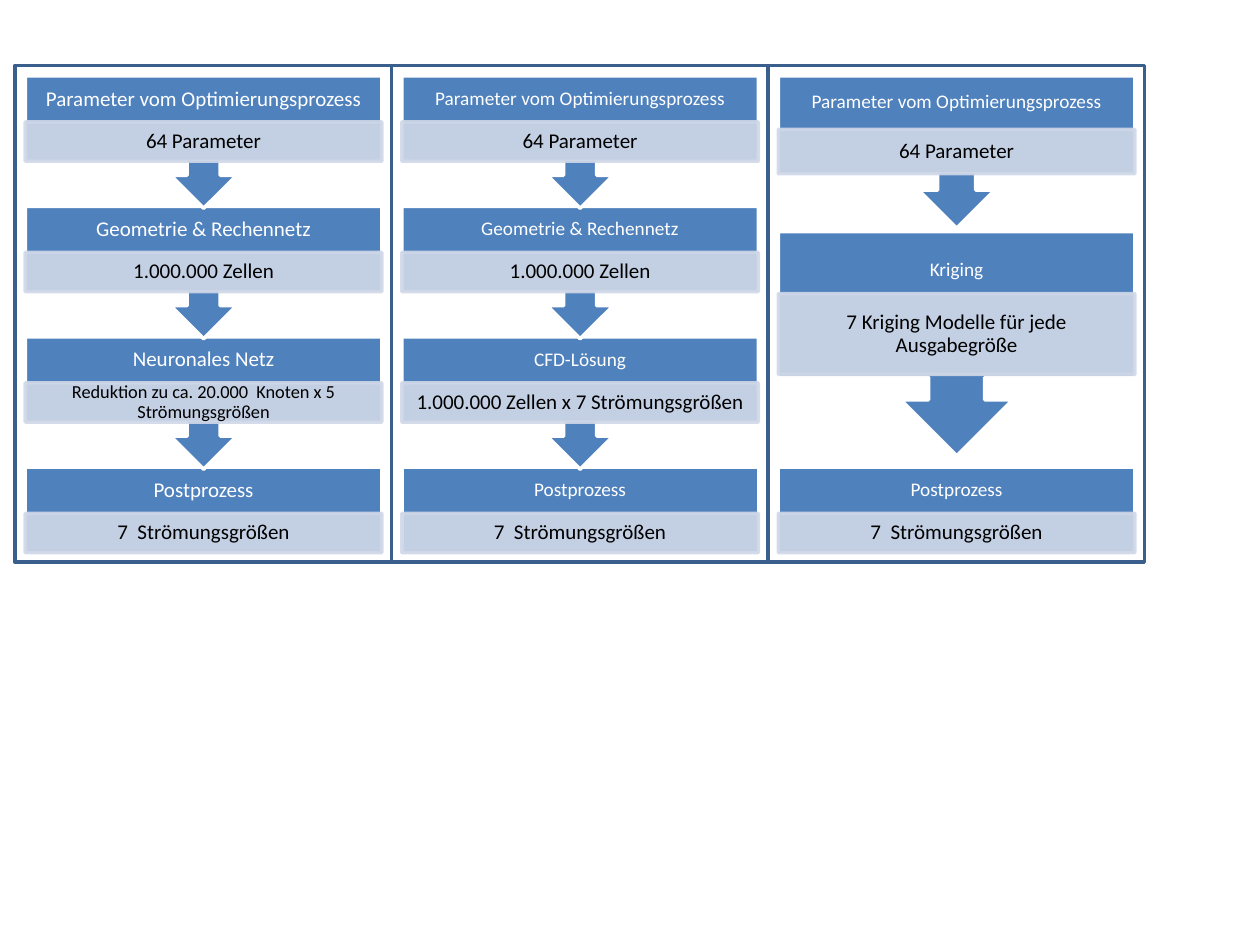
from dataclasses import dataclass

from lxml.etree import SubElement
from pptx import Presentation
from pptx.dml.color import RGBColor
from pptx.enum.shapes import MSO_SHAPE
from pptx.enum.text import MSO_ANCHOR, PP_ALIGN
from pptx.oxml.ns import qn
from pptx.shapes.autoshape import Shape
from pptx.shapes.shapetree import GroupShapes
from pptx.util import Cm, Pt

PANEL_LEFT, PANEL_TOP = 0.3, 1.32
PANEL_WIDTH, PANEL_HEIGHT = 7.59, 10.01
STEP_INSET, STEP_WIDTH = 0.21, 7.19
FIRST_TOP, STEP_PITCH = 1.53, 2.63
WHITE, BLACK = "FFFFFF", "000000"
BLUE, DARK_BLUE, PALE_BLUE = "4F81BD", "3A5F8C", "D0D8E8"


@dataclass
class Layout:
    top: float
    height: float
    header_height: float
    band_offset: float
    band_height: float


@dataclass
class Step:
    title: str
    detail: str
    layout: Layout
    detail_size: float = 12


@dataclass
class Flow:
    title_size: float
    steps: list[Step]


def color(value: str) -> RGBColor:
    return RGBColor.from_string(value)


def add_box(shapes: GroupShapes, kind: MSO_SHAPE, left: float, top: float, width: float,
            height: float, fill: str, line: str) -> Shape:
    shape = shapes.add_shape(kind, Cm(left), Cm(top), Cm(width), Cm(height))
    shape.shadow.inherit = False
    shape.fill.solid()
    shape.fill.fore_color.rgb = color(fill)
    shape.line.color.rgb = color(line)
    shape.line.width = Pt(2)
    return shape


def set_opacity(shape: Shape, percent: int) -> None:
    for value in shape._element.spPr.iter(qn("a:srgbClr")):
        SubElement(value, qn("a:alpha")).set("val", str(percent * 1000))


def set_text(shape: Shape, text: str, size: float, text_color: str, margin: float) -> None:
    frame = shape.text_frame
    frame.word_wrap = True
    frame.vertical_anchor = MSO_ANCHOR.MIDDLE
    frame.margin_left = frame.margin_right = Cm(0.23)
    frame.margin_top = frame.margin_bottom = Cm(margin)
    paragraph = frame.paragraphs[0]
    paragraph.text = text
    paragraph.alignment = PP_ALIGN.CENTER
    paragraph.line_spacing = 0.9
    paragraph.font.name = "Calibri"
    paragraph.font.size = Pt(size)
    paragraph.font.color.rgb = color(text_color)


def add_step(shapes: GroupShapes, left: float, step: Step, title_size: float,
             is_last: bool) -> None:
    layout = step.layout
    kind = MSO_SHAPE.RECTANGLE if is_last else MSO_SHAPE.UP_ARROW_CALLOUT
    body = add_box(shapes, kind, left, layout.top, STEP_WIDTH, layout.height, BLUE, WHITE)
    body.rotation = 0 if is_last else 180
    header = shapes.add_textbox(Cm(left), Cm(layout.top), Cm(STEP_WIDTH),
                                Cm(layout.header_height))
    set_text(header, step.title, title_size, WHITE, 0.23)
    band = add_box(shapes, MSO_SHAPE.RECTANGLE, left, layout.top + layout.band_offset,
                   STEP_WIDTH, layout.band_height, PALE_BLUE, PALE_BLUE)
    set_opacity(band, 90)
    set_text(band, step.detail, step.detail_size, BLACK, 0.05)


FIRST, SECOND, THIRD = (
    Layout(FIRST_TOP + index * STEP_PITCH, 2.67, 0.94, 0.93, 0.79) for index in range(3))
LAST = Layout(FIRST_TOP + 3 * STEP_PITCH, 1.73, 0.94, 0.93, 0.79)
TALL_FIRST = Layout(FIRST_TOP, 3.07, 1.07, 1.08, 0.89)
TALL_SECOND = Layout(4.67, 4.52, 1.57, 1.25, 1.63)

PARAMETERS = ("Parameter vom Optimierungsprozess", "64 Parameter")
GEOMETRY = Step("Geometrie & Rechennetz", "1.000.000 Zellen", SECOND)
RESULT = Step("Postprozess", "7  Strömungsgrößen", LAST)

FLOWS = [
    Flow(12, [
        Step(*PARAMETERS, FIRST),
        GEOMETRY,
        Step("Neuronales Netz", "Reduktion zu ca. 20.000  Knoten x 5 Strömungsgrößen",
             THIRD, 10.5),
        RESULT,
    ]),
    Flow(11, [
        Step(*PARAMETERS, FIRST),
        GEOMETRY,
        Step("CFD-Lösung", "1.000.000 Zellen x 7 Strömungsgrößen", THIRD),
        RESULT,
    ]),
    Flow(11, [
        Step(*PARAMETERS, TALL_FIRST),
        Step("Kriging", "7 Kriging Modelle für jede Ausgabegröße", TALL_SECOND),
        RESULT,
    ]),
]

presentation = Presentation()
presentation.slide_width, presentation.slide_height = Cm(25.4), Cm(19.05)
slide = presentation.slides.add_slide(presentation.slide_layouts[6])

for column, flow in enumerate(FLOWS):
    panel_left = PANEL_LEFT + column * PANEL_WIDTH
    add_box(slide.shapes, MSO_SHAPE.RECTANGLE, panel_left, PANEL_TOP, PANEL_WIDTH,
            PANEL_HEIGHT, WHITE, DARK_BLUE)
    group = slide.shapes.add_group_shape()
    for step in reversed(flow.steps):
        add_step(group.shapes, panel_left + STEP_INSET, step, flow.title_size,
                 step is flow.steps[-1])

presentation.save("out.pptx")
